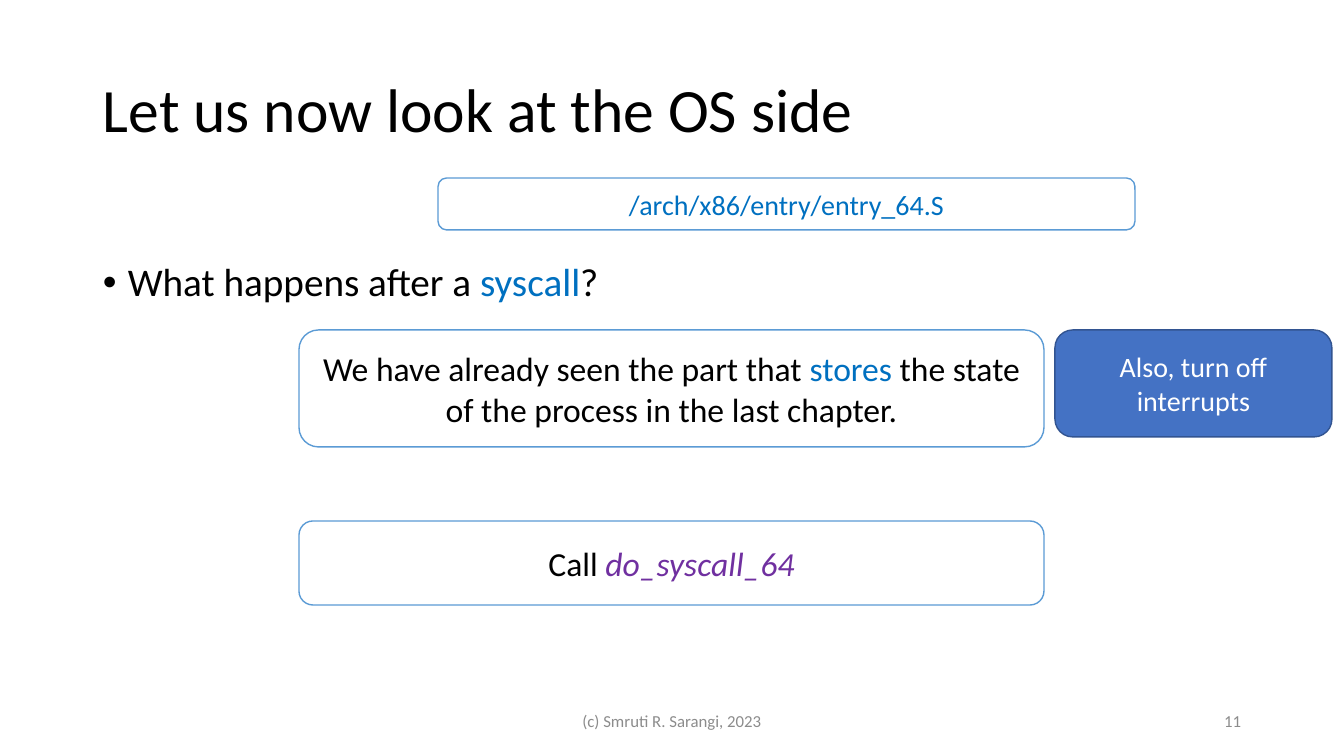
from dataclasses import dataclass

from lxml import etree
from pptx import Presentation
from pptx.dml.color import RGBColor
from pptx.enum.shapes import MSO_SHAPE
from pptx.enum.text import MSO_ANCHOR, PP_ALIGN
from pptx.oxml.ns import qn
from pptx.util import Pt

ROUNDED = MSO_SHAPE.ROUNDED_RECTANGLE
TOP, MIDDLE = MSO_ANCHOR.TOP, MSO_ANCHOR.MIDDLE
LEFT, CENTER, RIGHT = PP_ALIGN.LEFT, PP_ALIGN.CENTER, PP_ALIGN.RIGHT


@dataclass(frozen=True)
class Theme:
    font: str = "Calibri"
    ink: str = "000000"
    paper: str = "FFFFFF"
    muted: str = "8C8C8C"
    keyword: str = "0070C0"
    function: str = "7030A0"
    outline: str = "5B9BD5"
    accent: str = "4472C4"
    accent_edge: str = "325491"
    title_size: int = 44
    bullet_size: int = 28
    step_size: int = 24
    note_size: int = 20
    footer_size: int = 12


THEME = Theme()

# Text is a list of (words, colour) runs.
TITLE = [("Let us now look at the OS side", THEME.ink)]
QUESTION = [("What happens after a ", THEME.ink), ("syscall", THEME.keyword), ("?", THEME.ink)]
COPYRIGHT = [("(c) Smruti R. Sarangi, 2023", THEME.muted)]
PAGE_NUMBER = [("11", THEME.muted)]
SOURCE_FILE = [("/arch/x86/entry/entry_64.S", THEME.keyword)]
SAVE_STATE = [
    ("We have already seen the part that ", THEME.ink),
    ("stores", THEME.keyword),
    (" the state of the process in the last chapter.", THEME.ink),
]
CALL_HANDLER = [("Call ", THEME.ink), ("do_syscall_64", THEME.function)]
INTERRUPTS = [("Also, turn off interrupts", THEME.paper)]

# Lengths in px
EMU_PER_PX = 914400 / 100.8
SLIDE_W, SLIDE_H = 1344, 756
MARGIN = 93
CONTENT_W = SLIDE_W - 2 * MARGIN
FOOTER_Y, FOOTER_H = 701, 40
COPYRIGHT_W, NUMBER_W = 454, 302
STEP_X, STEP_W = 299, 745
SAVE_Y, CALL_Y = 330, 521
NOTE_X = STEP_X + STEP_W + 11
BULLET_INDENT = 25

# (runs, box, size, alignment, anchor, line spacing)
TEXTS = [
    (TITLE, (MARGIN, 40, CONTENT_W, 146), THEME.title_size, LEFT, MIDDLE, 0.9),
    (QUESTION, (MARGIN, 258, CONTENT_W, 61), THEME.bullet_size, LEFT, TOP, 0.9),
    (COPYRIGHT, ((SLIDE_W - COPYRIGHT_W) // 2, FOOTER_Y, COPYRIGHT_W, FOOTER_H),
     THEME.footer_size, CENTER, MIDDLE, 1.0),
    (PAGE_NUMBER, (SLIDE_W - MARGIN - NUMBER_W, FOOTER_Y, NUMBER_W, FOOTER_H),
     THEME.footer_size, RIGHT, MIDDLE, 1.0),
]

# (runs, box, size, fill, line)
CARDS = [
    (SOURCE_FILE, (438, 178, 697, 52), THEME.note_size, THEME.paper, THEME.outline),
    (SAVE_STATE, (STEP_X, SAVE_Y, STEP_W, 117), THEME.step_size, THEME.paper, THEME.outline),
    (CALL_HANDLER, (STEP_X, CALL_Y, STEP_W, 84), THEME.step_size, THEME.paper, THEME.outline),
    (INTERRUPTS, (NOTE_X, SAVE_Y, 277, 107), THEME.note_size, THEME.accent, THEME.accent_edge),
]


def px(length):
    return round(length * EMU_PER_PX)


def rgb(color):
    return RGBColor.from_string(color)


def add_bullet(paragraph):
    properties = paragraph._p.get_or_add_pPr()
    properties.set("marL", str(px(BULLET_INDENT)))
    properties.set("indent", str(-px(BULLET_INDENT)))
    etree.SubElement(properties, qn("a:buFont")).set("typeface", "Arial")
    etree.SubElement(properties, qn("a:buChar")).set("char", "•")


def write(shape, runs, size, alignment, anchor, spacing=1.0):
    frame = shape.text_frame
    frame.word_wrap = True
    frame.vertical_anchor = anchor
    paragraph = frame.paragraphs[0]
    if runs is QUESTION:
        add_bullet(paragraph)
    paragraph.alignment = alignment
    paragraph.line_spacing = spacing
    for words, color in runs:
        run = paragraph.add_run()
        run.text = words
        run.font.name = THEME.font
        run.font.size = Pt(size)
        run.font.color.rgb = rgb(color)
        if color == THEME.function:
            run.font.italic = True


def add_card(slide, runs, box, size, fill, line):
    card = slide.shapes.add_shape(ROUNDED, *map(px, box))
    card.shadow.inherit = False
    card.fill.solid()
    card.fill.fore_color.rgb = rgb(fill)
    card.line.color.rgb = rgb(line)
    card.line.width = Pt(1)
    write(card, runs, size, CENTER, MIDDLE)


def main():
    deck = Presentation()
    deck.slide_width, deck.slide_height = px(SLIDE_W), px(SLIDE_H)
    slide = deck.slides.add_slide(deck.slide_layouts[6])
    for runs, box, *style in TEXTS:
        write(slide.shapes.add_textbox(*map(px, box)), runs, *style)
    for card in CARDS:
        add_card(slide, *card)
    deck.save("out.pptx")


if __name__ == "__main__":
    main()
